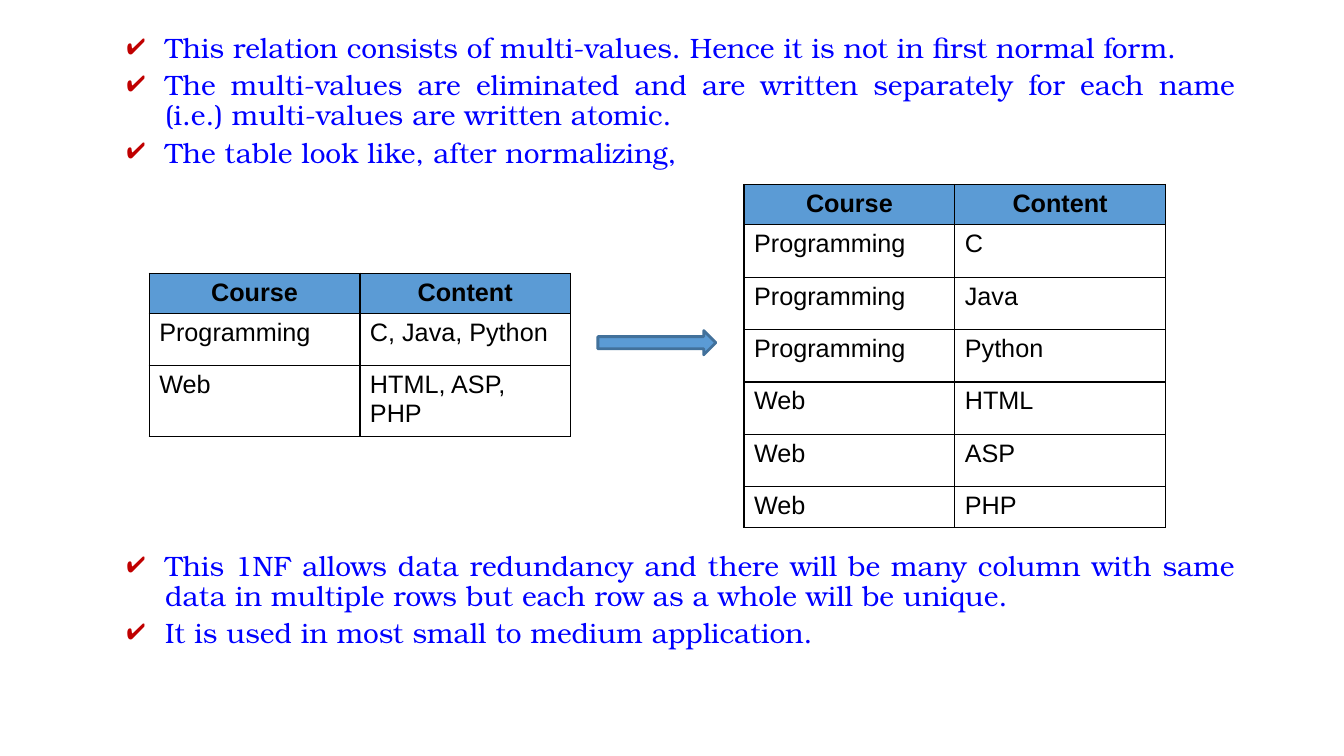
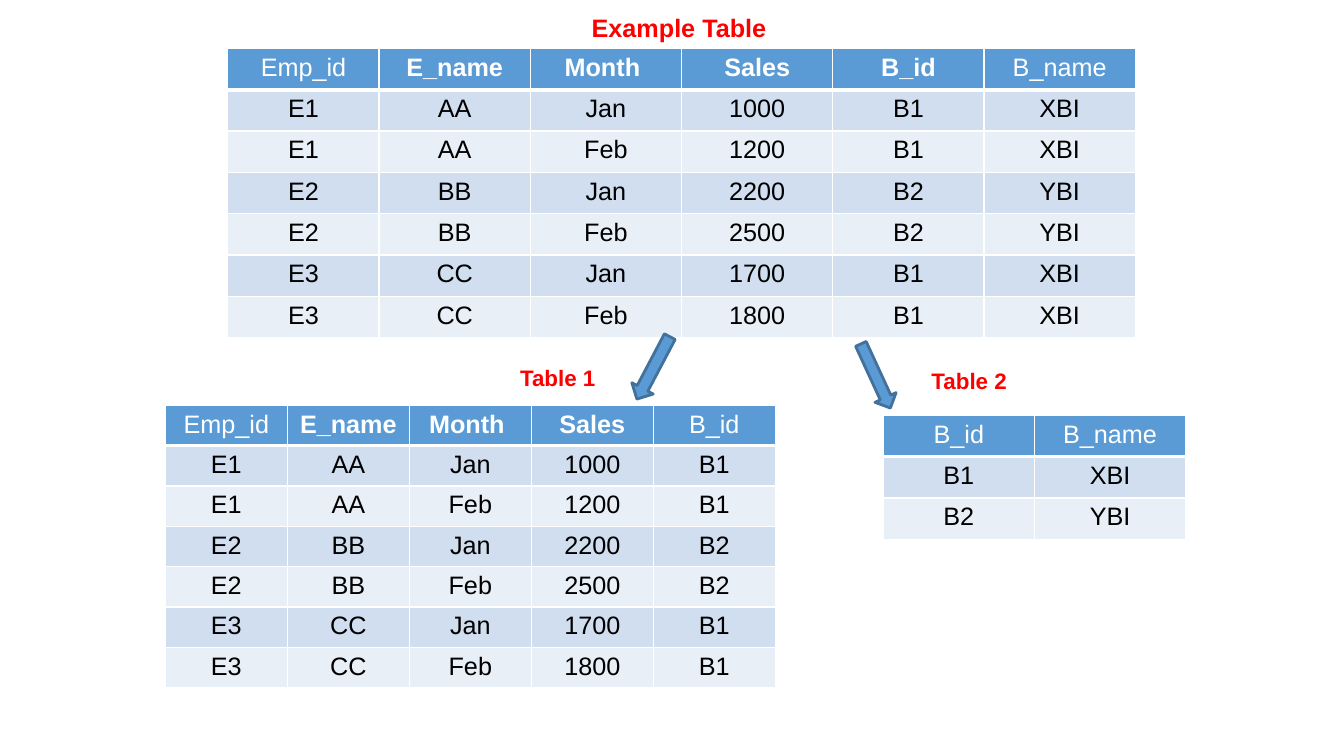
import pptx
import pptx.util
import pptx.dml.color
import pptx.enum.shapes
import pptx.enum.text
import pptx.oxml
import pptx.oxml.ns
import lxml.etree

Inches, Pt = pptx.util.Inches, pptx.util.Pt
ALIGN = pptx.enum.text.PP_ALIGN
ARROW = pptx.enum.shapes.MSO_SHAPE
qn = pptx.oxml.ns.qn
COLORS = {"header": "5B9BD5", "band_dark": "D0DEEF", "band_light": "E9EFF7",
          "arrow_line": "42719B", "bullet_text": "0000FF", "tick": "C00000",
          "caption": "FF0000", "black": "000000", "white": "FFFFFF"}
rgb = {name: pptx.dml.color.RGBColor.from_string(code) for name, code in COLORS.items()}


def style_run(paragraph, size, color, font="Arial", bold=False):
    for run in paragraph.runs:
        run.font.name, run.font.size, run.font.bold = font, Pt(size), bold
        run.font.color.rgb = rgb[color]


def draw_table(slide, left, top, col_width, row_heights, rows, banded):
    n_cols = len(rows[0])
    table = slide.shapes.add_table(
        len(rows), n_cols, Inches(left), Inches(top),
        Inches(col_width * n_cols), Inches(sum(row_heights))).table
    table.first_row = table.horz_banding = False
    for column in table.columns:
        column.width = Inches(col_width)
    for r, values in enumerate(rows):
        table.rows[r].height = Inches(row_heights[r])
        for c, value in enumerate(values):
            cell = table.cell(r, c)
            cell.text_frame.text = value
            # Borders, heavier under a banded header
            heavy = {(0, "B"), (1, "T")} if banded else set()
            for side in "LRTB":
                border = lxml.etree.SubElement(
                    cell._tc.get_or_add_tcPr(), qn("a:ln" + side),
                    w=str(Pt(3 if (r, side) in heavy else 1)))
                border_fill = lxml.etree.SubElement(border, qn("a:solidFill"))
                lxml.etree.SubElement(border_fill, qn("a:srgbClr"),
                                      val=COLORS["white" if banded else "black"])
            # Fill and text
            if r and not banded:
                cell.fill.background()
            else:
                cell.fill.solid()
                cell.fill.fore_color.rgb = rgb[
                    "header" if r == 0 else "band_dark" if r % 2 else "band_light"]
            paragraph = cell.text_frame.paragraphs[0]
            paragraph.alignment = ALIGN.CENTER if banded or r == 0 else ALIGN.LEFT
            style_run(paragraph, 18, "white" if banded and r == 0 else "black",
                      bold=r == 0 and (not banded or 0 < c < n_cols - 1))


prs = pptx.Presentation()
prs.slide_width, prs.slide_height = Inches(13.33), Inches(7.5)
normal_form, example = [prs.slides.add_slide(prs.slide_layouts[6]) for _ in range(2)]

# Slide 1: ticked statements above and below the tables
statements = [
    (0.29, 1.5, [
        "This relation consists of multi-values. Hence it is not in first normal form.",
        "The multi-values are eliminated and are written separately for each name "
        "(i.e.) multi-values are written atomic.",
        "The table look like, after normalizing,"]),
    (5.43, 1.2, [
        "This 1NF allows data redundancy and there will be many column with same data "
        "in multiple rows but each row as a whole will be unique.",
        "It is used in most small to medium application."])]
for top, height, lines in statements:
    frame = normal_form.shapes.add_textbox(
        Inches(0.54), Inches(top), Inches(11.81), Inches(height)).text_frame
    frame.word_wrap = True
    frame.text = "\n".join(lines)
    for paragraph in frame.paragraphs:
        paragraph.alignment = ALIGN.JUSTIFY
        paragraph.line_spacing, paragraph.space_before = 0.9, Pt(5)
        style_run(paragraph, 20, "bullet_text", "TeX Gyre Bonum")
        props = paragraph._p.get_or_add_pPr()
        props.set("marL", str(Inches(1)))
        props.set("indent", str(Inches(-0.38)))
        tick_color = lxml.etree.SubElement(props, qn("a:buClr"))
        lxml.etree.SubElement(tick_color, qn("a:srgbClr"), val=COLORS["tick"])
        lxml.etree.SubElement(props, qn("a:buChar"), char="✔")

# Slide 1: the relation before and after normalizing
courses = [("Programming", ["C", "Java", "Python"]), ("Web", ["HTML", "ASP", "PHP"])]
heading = ("Course", "Content")
multi_valued = [heading] + [(name, ", ".join(parts)) for name, parts in courses]
atomic = [heading] + [(name, part) for name, parts in courses for part in parts]
draw_table(normal_form, 1.48, 2.71, 2.09, [0.4, 0.52, 0.69], multi_valued, False)
draw_table(normal_form, 7.38, 1.83, 2.09, [0.4] + [0.52] * 5 + [0.4], atomic, False)

# Slide 2: the sales table and its two parts
sales = [("Emp_id", "E_name", "Month ", "Sales", "B_id", "B_name"),
         ("E1", "AA", "Jan", "1000", "B1", "XBI"),
         ("E1", "AA", "Feb", "1200", "B1", "XBI"),
         ("E2", "BB", "Jan", "2200", "B2", "YBI"),
         ("E2", "BB", "Feb", "2500", "B2", "YBI"),
         ("E3", "CC", "Jan", "1700", "B1", "XBI"),
         ("E3", "CC", "Feb", "1800", "B1", "XBI")]
employees = [row[:5] for row in sales]
banks = [sales[r][4:] for r in (0, 1, 3)]
for left, top, col_width, row_height, rows in [
        (2.26, 0.48, 1.5, 0.41, sales),
        (1.64, 4.02, 1.21, 0.4, employees),
        (8.76, 4.12, 1.5, 0.41, banks)]:
    draw_table(example, left, top, col_width, [row_height] * len(rows), rows, True)

# Slide 2: captions
for caption, left, top, width, height, size in [
        ("Example Table", 5.77, 0.07, 1.97, 0.4, 18),
        ("Table 1", 5.06, 3.56, 0.98, 0.37, 16),
        ("Table 2", 9.14, 3.59, 0.98, 0.37, 16)]:
    frame = example.shapes.add_textbox(
        Inches(left), Inches(top), Inches(width), Inches(height)).text_frame
    frame.word_wrap = True
    frame.text = caption
    style_run(frame.paragraphs[0], size, "caption", bold=True)

# Arrows between the tables on both slides
for slide, kind, left, top, width, height, turn in [
        (normal_form, ARROW.RIGHT_ARROW, 5.93, 3.28, 1.17, 0.24, 0),
        (example, ARROW.DOWN_ARROW, 6.36, 3.3, 0.24, 0.7, 27.8),
        (example, ARROW.DOWN_ARROW, 8.57, 3.38, 0.23, 0.7, 335.3)]:
    arrow = slide.shapes.add_shape(
        kind, Inches(left), Inches(top), Inches(width), Inches(height))
    arrow.rotation = turn
    arrow.shadow.inherit = False
    arrow.fill.solid()
    arrow.fill.fore_color.rgb = rgb["header"]
    arrow.line.color.rgb = rgb["arrow_line"]
    arrow.line.width = Pt(2)

prs.save("out.pptx")
